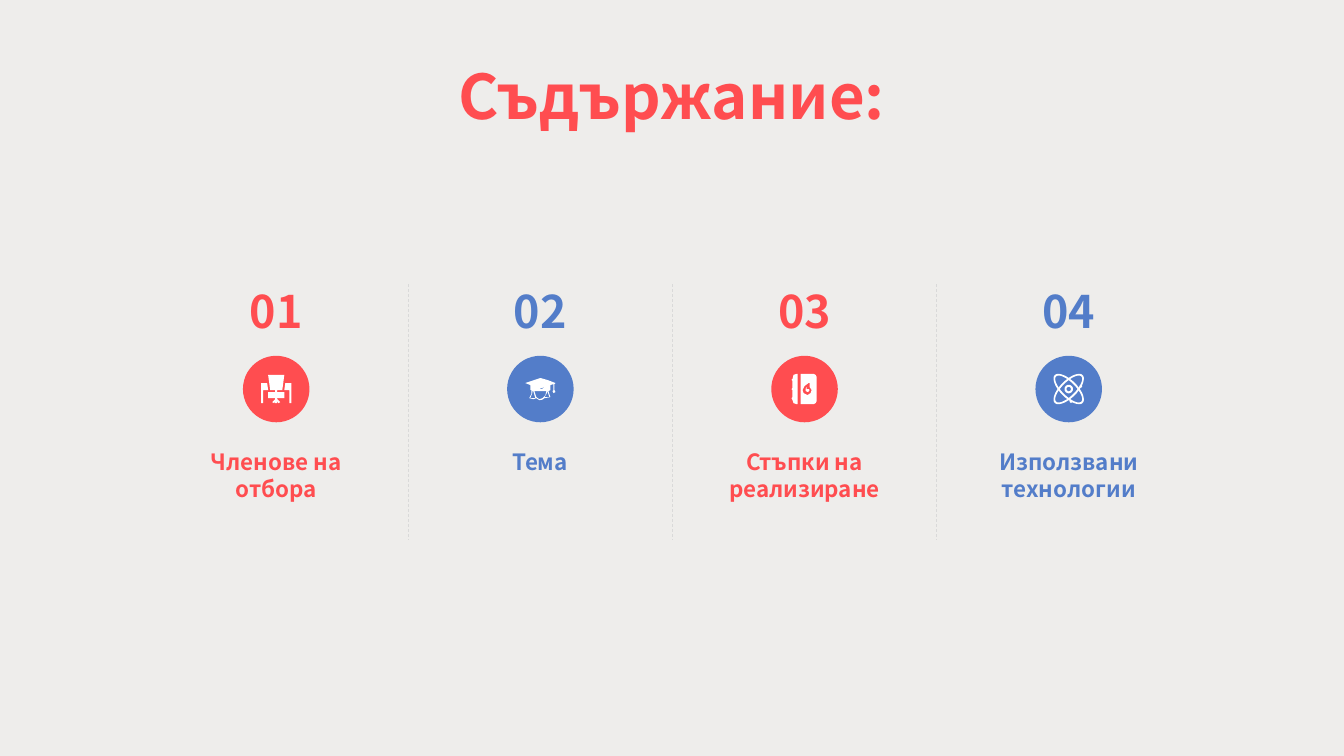
from math import cos, pi, sin

from lxml.etree import SubElement
from pptx import Presentation
from pptx.dml.color import RGBColor
from pptx.enum.dml import MSO_LINE
from pptx.enum.shapes import MSO_CONNECTOR, MSO_SHAPE
from pptx.enum.text import PP_ALIGN
from pptx.oxml.ns import qn
from pptx.util import Inches, Pt

WIDTH, HEIGHT = 13.33, 7.5
LEFT, COLUMN = 1.43, 2.62
TOP, BOTTOM = 2.82, 5.35
COLORS = {"paper": "EEEDEB", "red": "FF4D50", "blue": "537DC9",
          "icon": "FFFFFF", "divider": "D9D9D9"}
FONT = "Noto Sans CJK SC"


def color(name):
    return RGBColor.from_string(COLORS[name])


# Icon outlines: hundredths of an inch from the centre of the disc
def mirror(points):
    return [(-x, y) for x, y in reversed(points)]


def oval(a, b, turn=0, center=(0, 0), steps=48):
    angles = [2 * pi * i / steps for i in range(steps)]
    return [(center[0] + a * cos(t) * cos(turn) - b * sin(t) * sin(turn),
             center[1] + a * cos(t) * sin(turn) + b * sin(t) * cos(turn))
            for t in angles]


DESK = [(9, -6), (15, -6), (15, 14), (13, 14), (13, 1), (8, 1)]
HALF_CHAIR = [(8, -14), (6, 1), (1, 1), (1, 3), (8, 3), (8, 9), (1, 9),
              (1, 10), (4, 13), (2, 14), (1, 12), (1, 14)]
OFFICE = [[DESK, mirror(DESK), HALF_CHAIR + mirror(HALF_CHAIR)]]

GRADUATE = [[
    # Cap, tassel and hair
    [(-15, -6), (-6, -9), (0, -11), (7, -9), (15, -6), (14, -5), (14, 1),
     (15, 3), (13, 4), (12, 2), (13, 1), (13, -5), (10, -4), (10, 1), (8, 2),
     (10, 8), (4, 9), (2, 10.5), (-1, 11), (-4, 9), (-7, 10), (-11, 9),
     (-9, 5), (-9, 1), (-10, 1), (-10, -4)],
    # Gaps: band, face and both sides of the hair
    [(-9, -4), (-1, -1), (1, -1), (9, -3), (5, -2), (1, 0), (-4, -2)],
    [(-6, 2), (6, 2), (5, 6), (2, 9), (-1, 10), (-4, 8)],
    [(-8, 2), (-7, 2), (-5, 9), (-10, 9), (-8, 4)],
    [(7, 2), (9, 8), (4, 8), (6, 5)],
]]

NOTEBOOK = [[
    # Cover, flame and its core, spine
    [(-4, -15), (9, -15), (11, -14), (12, -12), (12, 12), (11, 14), (9, 15),
     (-4, 15)],
    [(5, -6), (4, -6), (0, -3), (-2, 1), (-1, 4), (3, 6), (6, 4), (7, 1),
     (5, -2), (5, -4)],
    [(2, -2), (2, 0), (4, 0), (5, 1), (4, 2.5), (3, 3), (1, 2), (1, 0)],
    [(-8, -15), (-7, -15), (-7, 15), (-8, 15), (-11, 14), (-12, 11),
     (-13, 9), (-12, 8), (-12, 1), (-13, 0), (-12, -1), (-12, -8),
     (-13, -9), (-12, -10), (-11, -14)],
]]

ATOM = [[oval(19.5, 8.5, turn), oval(17.7, 6.7, turn)]
        for turn in (pi / 4, -pi / 4)]
ATOM.append([oval(4.2, 4.2), oval(2.2, 2.2),
             oval(1.3, 1.3, center=(2.2, 12.3)),
             oval(1.3, 1.3, center=(12, -2.7))])

# Number, label, colour, icon, label width as a share of the column
TOPICS = [
    ("01", "Членове на отбора", "red", OFFICE, 0.73),
    ("02", "Тема", "blue", GRADUATE, 0.73),
    ("03", "Стъпки на реализиране", "red", NOTEBOOK, 0.73),
    ("04", "Използвани технологии", "blue", ATOM, 1),
]


def add_text(slide, text, center, top, width, height, size, tone):
    box = slide.shapes.add_textbox(Inches(center - width / 2), Inches(top),
                                   Inches(width), Inches(height))
    box.text_frame.word_wrap = True
    paragraph = box.text_frame.paragraphs[0]
    paragraph.alignment = PP_ALIGN.CENTER
    run = paragraph.add_run()
    run.text = text
    for name, value in {"name": FONT, "size": Pt(size), "bold": True}.items():
        setattr(run.font, name, value)
    run.font.color.rgb = color(tone)


def add_filled(slide, kind, left, top, width, height, tone):
    paint(slide.shapes.add_shape(kind, Inches(left), Inches(top),
                                 Inches(width), Inches(height)), tone)


def paint(shape, tone):
    shape.shadow.inherit = False
    shape.fill.solid()
    shape.fill.fore_color.rgb = color(tone)
    shape.line.fill.background()


def add_icon(slide, icon, center, middle):
    # The builder keeps whole units, so it works in thousandths of an inch
    for contours in icon:
        first, *others = [[(center * 1000 + x * 10, middle * 1000 + y * 10)
                           for x, y in contour] for contour in contours]
        builder = slide.shapes.build_freeform(*first[0], scale=Inches(1) / 1000)
        builder.add_line_segments(first[1:])
        for contour in others:
            builder.move_to(*contour[0])
            builder.add_line_segments(contour[1:])
        paint(builder.convert_to_shape(), "icon")


def add_topic(slide, left, topic):
    number, label, tone, icon, share = topic
    center = left + COLUMN / 2
    disc, middle = 0.66, TOP + 1.04
    add_text(slide, number, center, TOP - 0.05, 1.23, 0.64, 32, tone)
    add_filled(slide, MSO_SHAPE.OVAL, center - disc / 2, middle - disc / 2,
               disc, disc, tone)
    add_icon(slide, icon, center, middle)
    add_text(slide, label, center, TOP + 1.58, COLUMN * share, 0.64, 16, tone)


def add_divider(slide, x):
    divider = slide.shapes.add_connector(
        MSO_CONNECTOR.STRAIGHT, Inches(x), Inches(TOP), Inches(x), Inches(BOTTOM))
    divider.line.color.rgb = color("divider")
    for name, value in {"width": Pt(0.5), "dash_style": MSO_LINE.DASH}.items():
        setattr(divider.line, name, value)
    SubElement(divider._element.spPr, qn("a:effectLst"))


def build_contents(slide):
    add_filled(slide, MSO_SHAPE.RECTANGLE, 0, 0, WIDTH, HEIGHT, "paper")
    add_text(slide, "Съдържание:", WIDTH / 2, 0.53, 4.68, 0.84, 44, "red")
    for index, topic in enumerate(TOPICS):
        left = LEFT + index * COLUMN
        if index:
            add_divider(slide, left)
        add_topic(slide, left, topic)


def main():
    deck = Presentation()
    deck.slide_width, deck.slide_height = Inches(WIDTH), Inches(HEIGHT)
    build_contents(deck.slides.add_slide(deck.slide_layouts[6]))
    deck.save("out.pptx")


if __name__ == "__main__":
    main()
